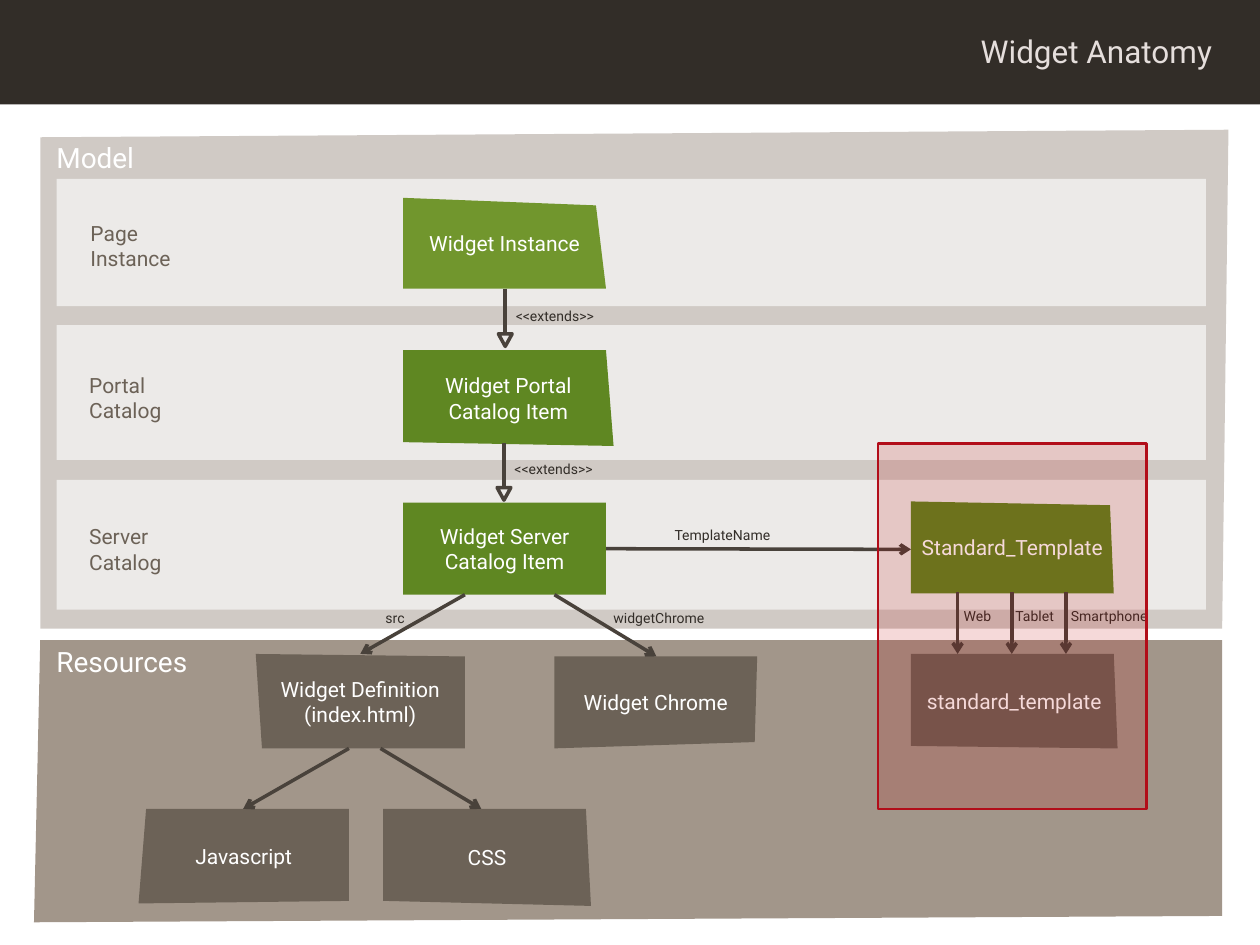
from dataclasses import dataclass
from typing import Any, Optional

import pptx
import pptx.dml.color
import pptx.enum.shapes
import pptx.enum.text
import pptx.oxml.ns
import pptx.util
from lxml import etree

Shape = pptx.enum.shapes.MSO_SHAPE
Align = pptx.enum.text.PP_ALIGN
Anchor = pptx.enum.text.MSO_ANCHOR
AutoSize = pptx.enum.text.MSO_AUTO_SIZE
qn = pptx.oxml.ns.qn

# The slide is a grid of 100 columns by 75 rows of square cells.
COLUMNS, ROWS = 100, 75
CELL = pptx.util.Inches(0.1)


@dataclass(frozen=True)
class Theme:
    font: str = "Roboto"
    dark: str = "322D28"
    title: str = "E5DEDC"
    model: str = "D0CAC5"
    resources: str = "A2968A"
    layer: str = "ECEAE8"
    taupe: str = "6C6257"
    green: str = "5F8722"
    light_green: str = "71962D"
    line: str = "49423B"
    white: str = "FFFFFF"
    highlight: str = "C00000"
    highlight_line: str = "B20D19"
    title_size: int = 18
    heading_size: int = 16
    node_size: int = 12
    label_size: int = 8
    line_width: float = 2
    highlight_width: float = 1.5


THEME = Theme()


@dataclass(frozen=True)
class Node:
    """A skewed box: corners run clockwise from the top left."""
    corners: tuple
    fill: str
    lines: tuple = ()


@dataclass(frozen=True)
class Label:
    text: str
    frame: tuple
    size: int = THEME.label_size
    color: str = THEME.dark
    align: Any = Align.LEFT
    tabs: tuple = ()


@dataclass(frozen=True)
class Arrow:
    start: tuple
    end: tuple


def cells(*counts: float) -> list:
    return [pptx.util.Emu(round(count * CELL)) for count in counts]


def rgb(value: str) -> pptx.dml.color.RGBColor:
    return pptx.dml.color.RGBColor.from_string(value)


def add_span(para: Any, text: str, size: int, color: str) -> None:
    span = para.add_run()
    span.text = text
    span.font.name = THEME.font
    span.font.size = pptx.util.Pt(size)
    span.font.color.rgb = rgb(color)


def paint(shape: Any, fill: str) -> None:
    shape.shadow.inherit = False
    shape.fill.solid()
    shape.fill.fore_color.rgb = rgb(fill)
    shape.line.fill.background()


def outline(shape: Any, color: str, width: float) -> None:
    shape.line.color.rgb = rgb(color)
    shape.line.width = pptx.util.Pt(width)


def add_rectangle(page: Any, frame: tuple, fill: str) -> Any:
    box = page.shapes.add_shape(Shape.RECTANGLE, *cells(*frame))
    paint(box, fill)
    return box


def write_node(box: Any, lines: tuple) -> None:
    frame = box.text_frame
    frame.word_wrap = False
    frame.vertical_anchor = Anchor.MIDDLE
    for number, line in enumerate(lines):
        para = frame.add_paragraph() if number else frame.paragraphs[0]
        para.alignment = Align.CENTER
        add_span(para, line, THEME.node_size, THEME.white)


def add_node(page: Any, node: Node) -> None:
    points = [tuple(cells(*corner)) for corner in node.corners]
    builder = page.shapes.build_freeform(*points[0], scale=1.0)
    builder.add_line_segments(points[1:], close=True)
    box = builder.convert_to_shape()
    paint(box, node.fill)
    if node.lines:
        write_node(box, node.lines)


def add_label(page: Any, label: Label) -> None:
    box = page.shapes.add_textbox(*cells(*label.frame))
    box.text_frame.word_wrap = True
    box.text_frame.auto_size = AutoSize.SHAPE_TO_FIT_TEXT
    para = box.text_frame.paragraphs[0]
    para.alignment = label.align
    if label.tabs:
        stops = etree.SubElement(para._p.get_or_add_pPr(), qn("a:tabLst"))
        for position in cells(*label.tabs):
            etree.SubElement(stops, qn("a:tab"), pos=str(position), algn="l")
    add_span(para, label.text, label.size, label.color)


def add_line(shapes: Any, arrow: Arrow, head: Optional[str] = "arrow") -> Any:
    line = shapes.add_connector(pptx.enum.shapes.MSO_CONNECTOR.STRAIGHT,
                                *cells(*arrow.start, *arrow.end))
    outline(line, THEME.line, THEME.line_width)
    properties = line.element.spPr
    if head:
        etree.SubElement(properties.find(qn("a:ln")), qn("a:tailEnd"), type=head)
    etree.SubElement(properties, qn("a:effectLst"))
    return line


def add_extends(page: Any, column: float, top: float, bottom: float) -> None:
    """An inheritance arrow: a line ending in a hollow triangle."""
    group = page.shapes.add_group_shape()
    add_line(group.shapes, Arrow((column, top), (column, bottom)), head=None)
    tip = group.shapes.add_shape(Shape.ISOSCELES_TRIANGLE,
                                 *cells(column - 0.55, bottom, 1.1, 1))
    tip.shadow.inherit = False
    tip.fill.background()
    outline(tip, THEME.line, THEME.line_width)
    tip.element.spPr.get_or_add_xfrm().set("flipV", "1")


def add_title(page: Any) -> None:
    band = add_rectangle(page, (0, 0, COLUMNS, 8.3), THEME.dark)
    title = page.shapes.title
    title.element.addprevious(band.element)
    title.left, title.top, title.width, title.height = cells(28.7, 2, 68.5, 4)
    title.text_frame.auto_size = AutoSize.NONE
    title.text_frame.vertical_anchor = Anchor.MIDDLE
    para = title.text_frame.paragraphs[0]
    para.alignment = Align.RIGHT
    add_span(para, "Widget Anatomy", THEME.title_size, THEME.title)


PANELS = (
    Node(((3.2, 50.8), (97, 50.8), (97, 72.7), (2.7, 73.2)), THEME.resources),
    Node(((3.2, 10.9), (97.5, 10.3), (97, 49.9), (3.2, 49.9)), THEME.model),
)
LAYERS = ((14.2, 10.1), (25.8, 10.7), (38.1, 10.3))  # top, height

NODES = (
    Node(((11.6, 64.2), (27.7, 64.2), (27.7, 71.5), (11, 71.7)), THEME.taupe, ("Javascript",)),
    Node(((32, 27.8), (48.1, 27.8), (48.7, 35.4), (32, 35.1)), THEME.green,
         ("Widget Portal", "Catalog Item")),
    Node(((32, 15.7), (47.3, 16.3), (48.1, 22.9), (32, 22.9)), THEME.light_green,
         ("Widget Instance",)),
    Node(((30.4, 64.2), (46.5, 64.2), (46.9, 71.9), (30.4, 71.5)), THEME.taupe, ("CSS",)),
    Node(((44, 52.1), (60.1, 52.1), (59.9, 58.9), (44, 59.4)), THEME.taupe, ("Widget Chrome",)),
    Node(((20.3, 51.9), (36.9, 52.1), (36.9, 59.4), (20.8, 59.4)), THEME.taupe,
         ("Widget Definition", "(index.html)")),
    Node(((72.3, 51.9), (88.4, 51.9), (88.7, 59.4), (72.3, 59.2)), THEME.taupe,
         ("standard_template",)),
    Node(((72.3, 39.8), (88.1, 40.1), (88.4, 47.1), (72.3, 47.1)), THEME.green,
         ("Standard_Template",)),
)

ROW_NAMES = (("Page Instance", 6.2, 17), ("Portal Catalog", 6.1, 29.1),
             ("Server Catalog", 6.1, 41.1))
HEADINGS = (("Model", 10.7), ("Resources", 50.7))
LABELS = (
    *(Label(text, (left, top, 8.4, 5), THEME.node_size, THEME.taupe)
      for text, left, top in ROW_NAMES),
    *(Label(text, (3.5, top, 14, 3.6), THEME.heading_size, THEME.white)
      for text, top in HEADINGS),
    Label("TemplateName", (50, 41.3, 14.7, 2.4), align=Align.CENTER),
    Label("src", (27.7, 47.9, 5.4, 2.4), align=Align.RIGHT),
    Label("widgetChrome", (47.7, 47.9, 12.3, 2.4)),
    Label("<<extends>>", (36.7, 23.9, 14.7, 2.4), align=Align.CENTER),
    Label("<<extends>>", (36.6, 36.1, 14.7, 2.4), align=Align.CENTER),
    Label("Web\tTablet\tSmartphone", (75.5, 47.7, 20.8, 2.4), tabs=(4.1, 8.5)),
)

ARROWS = (
    Arrow((36.9, 47.2), (28.6, 51.9)),
    Arrow((44, 47.2), (52.1, 52.1)),
    Arrow((27.7, 59.4), (19.3, 64.2)),
    Arrow((30.2, 59.4), (38.2, 64.2)),
    *(Arrow((76 + 4.3 * step, 47), (76 + 4.3 * step, 51.9)) for step in range(3)),
)


def main() -> None:
    deck = pptx.Presentation()
    deck.slide_width, deck.slide_height = cells(COLUMNS, ROWS)
    page = deck.slides.add_slide(deck.slide_layouts[5])
    add_title(page)

    # Background panels and layers
    for panel in PANELS:
        add_node(page, panel)
    for top, height in LAYERS:
        add_rectangle(page, (4.5, top, 91.2, height), THEME.layer)

    # Boxes
    server = add_rectangle(page, (32, 39.9, 16.1, 7.3), THEME.green)
    write_node(server, ("Widget Server", "Catalog Item"))
    for node in NODES:
        add_node(page, node)

    # Arrows and labels
    template_arrow = add_line(page.shapes, Arrow((48.1, 43.6), (72.3, 43.6)))
    template_arrow.begin_connect(server, 3)
    for arrow in ARROWS:
        add_line(page.shapes, arrow)
    add_extends(page, 40.1, 22.9, 26.5)
    add_extends(page, 40, 35.2, 38.7)
    for label in LABELS:
        add_label(page, label)

    # Translucent highlight over the template boxes
    highlight = add_rectangle(page, (69.7, 35.2, 21.3, 29), THEME.highlight)
    outline(highlight, THEME.highlight_line, THEME.highlight_width)
    color = highlight.element.spPr.find(qn("a:solidFill")).find(qn("a:srgbClr"))
    etree.SubElement(color, qn("a:alpha"), val="15000")

    deck.save("out.pptx")


if __name__ == "__main__":
    main()
